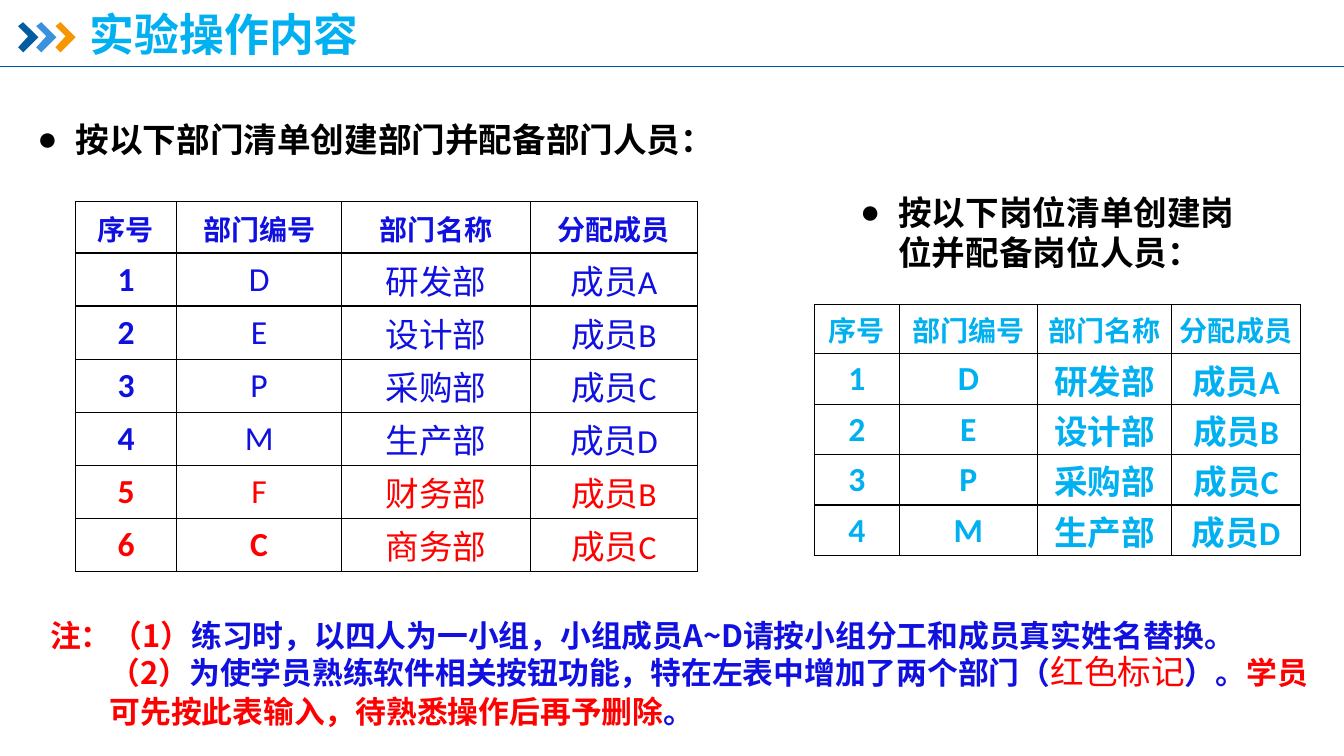
import lxml.etree
import pptx
import pptx.dml.color
import pptx.enum.lang
import pptx.enum.shapes
import pptx.enum.text
import pptx.oxml.ns
import pptx.util

BLUE, SKY, RED, BLACK = "1010E0", "00B0F0", "FF0000", "000000"
NOTO, LATIN, CELL = "Noto Sans CJK SC", "Calibri", "Arial"
EAST_FACES = {NOTO: NOTO, LATIN: LATIN, CELL: NOTO}

WIDTH, HEIGHT = 13.33, 7.5
TITLE = ("实验操作内容", (0.79, 0.13, 10.78, 0.47))
BULLETS = [
    ("按以下部门清单创建部门并配备部门人员：", (0.27, 1.13, 7.1, 0.5)),
    ("按以下岗位清单创建岗位并配备岗位人员：", (8.43, 1.85, 4.14, 0.91)),
]
HEADER = ["序号", "部门编号", "部门名称", "分配成员"]
SHARED = [("D", "研发部", "A"), ("E", "设计部", "B"), ("P", "采购部", "C"), ("M", "生产部", "D")]
EXTRA = [("F", "财务部", "B"), ("C", "商务部", "C")]
TABLES = [
    {"at": (8.08, 3.02), "columns": (0.84, 1.37, 1.33, 1.28), "height": 2.49, "head": 0.49,
     "color": SKY, "all_bold": True, "entries": SHARED},
    {"at": (0.75, 2), "columns": (1, 1.64, 1.87, 1.66), "height": 3.67, "head": 0.51,
     "color": BLUE, "all_bold": False, "entries": SHARED + EXTRA},
]
NOTE_AT = (0.4, 6.05, 12.73, 1.25)
NOTES = [
    [("注：（1）", 22, NOTO, RED, True),
     ("练习时，以四人为一小组，小组成员A~D请按小组分工和成员真实姓名替换。", 22, NOTO, BLUE, True)],
    [("\t（2）", 22, NOTO, RED, True),
     ("为使学员熟练软件相关按钮功能，特在左表中增加了两个部门（", 22, NOTO, BLUE, True),
     ("红色标记", 24, CELL, RED, False),
     ("）。", 22, NOTO, BLUE, True),
     ("学员可先按此表输入，待熟悉操作后再予删除", 22, NOTO, RED, True),
     ("。", 22, NOTO, BLUE, True)],
]
CHEVRON_COLORS = ["005DA2", "3992DB", "F79600"]
CHEVRON = [(0, 4), (5, 0), (20, 15), (5, 30), (0, 25), (10, 14)]
CHEVRON_LEFT, CHEVRON_TOP, CHEVRON_STEP = 18, 22, 18.5
CHEVRON_UNIT = 0.01
RULE_TOP = 0.66

inch = pptx.util.Inches
qn = pptx.oxml.ns.qn


def rgb(value):
    return pptx.dml.color.RGBColor.from_string(value)


def write(para, spans):
    for text, size, face, color, bold in spans:
        span = para.add_run()
        span.text = text
        font = span.font
        font.name, font.size, font.bold = face, pptx.util.Pt(size), bold
        font.color.rgb = rgb(color)
        font.language_id = pptx.enum.lang.MSO_LANGUAGE_ID.SIMPLIFIED_CHINESE
        east = lxml.etree.Element(qn("a:ea"), typeface=EAST_FACES[face])
        span._r.rPr.find(qn("a:latin")).addnext(east)


def hang(para, indent):
    properties = para._p.get_or_add_pPr()
    properties.set("marL", str(inch(indent)))
    properties.set("indent", str(-inch(indent)))
    return properties


def place(box, at, anchor):
    box.left, box.top, box.width, box.height = map(inch, at)
    frame = box.text_frame
    frame.word_wrap = True
    frame.auto_size = pptx.enum.text.MSO_AUTO_SIZE.NONE
    frame.vertical_anchor = anchor
    return frame


def add_chevrons(page):
    for number, color in enumerate(CHEVRON_COLORS):
        left = round(CHEVRON_LEFT + number * CHEVRON_STEP)
        points = [(left + x, CHEVRON_TOP + y) for x, y in CHEVRON]
        builder = page.shapes.build_freeform(*points[0], scale=inch(CHEVRON_UNIT))
        builder.add_line_segments(points[1:], close=True)
        chevron = builder.convert_to_shape()
        chevron.shadow.inherit = False
        chevron.fill.solid()
        chevron.fill.fore_color.rgb = rgb(color)
        chevron.line.fill.background()


def add_rule(page):
    rule = page.shapes.add_connector(
        pptx.enum.shapes.MSO_CONNECTOR.STRAIGHT, 0, inch(RULE_TOP), inch(WIDTH), inch(RULE_TOP))
    rule.line.color.rgb = rgb("0054A9")
    rule.line.width = pptx.util.Pt(0.5)
    lxml.etree.SubElement(rule._element.spPr, qn("a:effectLst"))


def format_cell(cell, spans):
    cell.margin_left = cell.margin_right = cell.margin_top = inch(0.01)
    cell.margin_bottom = 0
    cell.vertical_anchor = pptx.enum.text.MSO_ANCHOR.MIDDLE
    para = cell.text_frame.paragraphs[0]
    para.alignment = pptx.enum.text.PP_ALIGN.CENTER
    write(para, spans)
    properties = cell._tc.get_or_add_tcPr()
    for side in ("a:lnL", "a:lnR", "a:lnT", "a:lnB"):
        border = lxml.etree.SubElement(properties, qn(side), w=str(pptx.util.Pt(1)))
        fill = lxml.etree.SubElement(border, qn("a:solidFill"))
        lxml.etree.SubElement(fill, qn("a:srgbClr"), val=BLACK)
    cell.fill.solid()
    cell.fill.fore_color.rgb = rgb("FFFFFF")


def table_rows(entries, color, all_bold):
    yield [[(text, 20, CELL, color, True)] for text in HEADER]
    for number, entry in enumerate(entries, 1):
        code, name, member = entry
        shade = RED if entry in EXTRA else color
        code_bold = all_bold or entry == EXTRA[-1]
        yield [
            [(str(number), 24, LATIN, shade, True)],
            [(code, 24, LATIN, shade, code_bold)],
            [(name, 24, CELL, shade, all_bold)],
            [("成员", 24, CELL, shade, all_bold), (member, 24, LATIN, shade, all_bold)],
        ]


def add_staff_table(page, layout):
    columns, entries = layout["columns"], layout["entries"]
    head, height = layout["head"], layout["height"]
    heights = [head] + [(height - head) / len(entries)] * len(entries)
    left, top = layout["at"]
    table = page.shapes.add_table(
        len(heights), len(columns), inch(left), inch(top),
        inch(sum(columns)), inch(height)).table
    table.first_row = table.horz_banding = False
    for column, width in zip(table.columns, columns):
        column.width = inch(width)
    rows = table_rows(entries, layout["color"], layout["all_bold"])
    for row, row_height, contents in zip(table.rows, heights, rows):
        row.height = inch(row_height)
        for cell, spans in zip(row.cells, contents):
            format_cell(cell, spans)


def main():
    deck = pptx.Presentation()
    deck.slide_width, deck.slide_height = inch(WIDTH), inch(HEIGHT)
    page = deck.slides.add_slide(deck.slide_layouts[3])
    anchors = pptx.enum.text.MSO_ANCHOR
    title, *lists = page.placeholders

    text, at = TITLE
    para = place(title, at, anchors.MIDDLE).paragraphs[0]
    para.alignment = pptx.enum.text.PP_ALIGN.LEFT
    para.line_spacing = 0.9
    write(para, [(text, 32, NOTO, SKY, True)])

    for box, (text, at) in zip(lists, BULLETS):
        para = place(box, at, anchors.TOP).paragraphs[0]
        para.line_spacing = pptx.util.Pt(28.8)
        para.space_before = 0
        lxml.etree.SubElement(hang(para, 0.38), qn("a:buChar"), char="●")
        write(para, [(text, 24, LATIN, BLACK, True)])

    add_chevrons(page)
    add_rule(page)
    for layout in TABLES:
        add_staff_table(page, layout)

    frame = place(page.shapes.add_textbox(0, 0, 0, 0), NOTE_AT, anchors.TOP)
    for number, spans in enumerate(NOTES):
        para = frame.add_paragraph() if number else frame.paragraphs[0]
        para.line_spacing = pptx.util.Pt(27.4)
        hang(para, 0.59)
        write(para, spans)

    deck.save("out.pptx")


if __name__ == "__main__":
    main()
